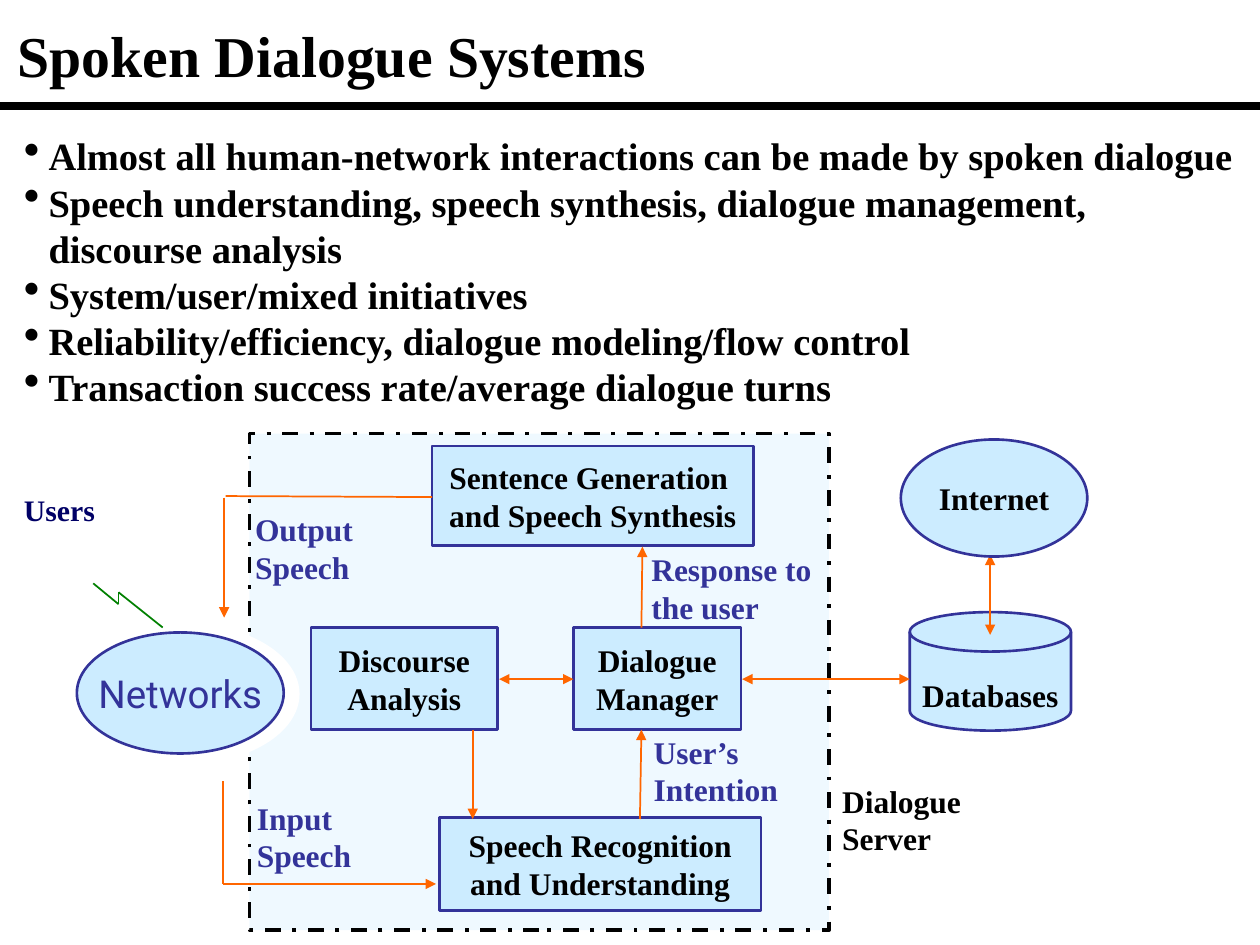
from dataclasses import dataclass

from lxml.etree import SubElement
from pptx import Presentation
from pptx.dml.color import RGBColor
from pptx.enum.dml import MSO_LINE_DASH_STYLE as Dash
from pptx.enum.shapes import MSO_CONNECTOR_TYPE as Link, MSO_SHAPE as Form
from pptx.enum.text import MSO_ANCHOR as Anchor, PP_ALIGN as Align
from pptx.oxml.ns import qn
from pptx.util import Cm, Pt

BLACK = RGBColor(0x00, 0x00, 0x00)
WHITE = RGBColor(0xFF, 0xFF, 0xFF)
PALE = RGBColor(0xE1, 0xF4, 0xFF)
SKY = RGBColor(0xCC, 0xEC, 0xFF)
INDIGO = RGBColor(0x33, 0x33, 0x99)
NAVY = RGBColor(0x00, 0x00, 0x66)
ORANGE = RGBColor(0xFF, 0x66, 0x00)
GREEN = RGBColor(0x00, 0x80, 0x00)
SERIF = "Times New Roman"
TITLE = "Spoken Dialogue Systems"
POINTS = (
    "Almost all human-network interactions can be made by spoken dialogue",
    "Speech understanding, speech synthesis, dialogue management, discourse analysis",
    "System/user/mixed initiatives",
    "Reliability/efficiency, dialogue modeling/flow control",
    "Transaction success rate/average dialogue turns",
)


@dataclass(frozen=True)
class Spot:
    left: float
    top: float
    width: float
    height: float

    def lengths(self) -> tuple[Cm, Cm, Cm, Cm]:
        return Cm(self.left), Cm(self.top), Cm(self.width), Cm(self.height)


@dataclass(frozen=True)
class Style:
    size: float = 18
    color: RGBColor = BLACK
    font: str = SERIF
    bold: bool = True


@dataclass(frozen=True)
class Node:
    text: str
    spot: Spot
    form: Form = Form.RECTANGLE
    style: Style = Style()
    wrap: bool = True


@dataclass(frozen=True)
class Label:
    text: str
    spot: Spot
    color: RGBColor = INDIGO
    inset: float = 0.25


@dataclass(frozen=True)
class Line:
    start: tuple[float, float]
    end: tuple[float, float]
    color: RGBColor = ORANGE
    weight: float = 1
    head: bool = False
    tail: bool = False


BASE = Style()
NODES = (
    Node("Sentence Generation \nand Speech Synthesis", Spot(8.71, 8.99, 6.48, 2.01)),
    Node("Dialogue\nManager", Spot(11.56, 12.65, 3.38, 2.06)),
    Node("Speech Recognition and Understanding", Spot(8.86, 16.48, 6.48, 1.88)),
    Node("Discourse Analysis", Spot(6.27, 12.65, 3.76, 2.06)),
)
DISK = Node("Databases", Spot(18.34, 12.34, 3.25, 2.39), Form.FLOWCHART_MAGNETIC_DISK)
OVALS = (
    Node("Internet", Spot(18.16, 8.86, 3.76, 2.36), Form.OVAL, wrap=False),
    Node("Networks", Spot(1.55, 12.75, 4.17, 2.44), Form.OVAL,
         Style(22, INDIGO, "Roboto", False), False),
)
LABELS = (
    Label("Output Speech", Spot(4.62, 10.06, 3.02, 1.96)),
    Label("Input Speech", Spot(4.62, 15.88, 3.02, 1.96)),
    Label("User’s Intention", Spot(12.88, 14.55, 3.1, 1.96), inset=0),
    Label("Response to the user", Spot(12.88, 10.87, 3.73, 1.96)),
    Label("Dialogue Server", Spot(16.31, 15.54, 3.73, 1.96), BLACK),
)
LINES = (
    Line((12.93, 12.65), (12.95, 11.02), tail=True),
    Line((4.55, 10), (8.71, 10.02)),
    Line((4.52, 10.03), (4.52, 12.45), tail=True),
    Line((14.96, 13.69), (18.34, 13.69), head=True, tail=True),
    Line((9.53, 14.71), (9.53, 16.51), tail=True),
    Line((4.5, 17.82), (8.79, 17.82), tail=True),
    Line((4.5, 15.75), (4.5, 17.82)),
    Line((10.06, 13.69), (11.56, 13.69), head=True, tail=True),
    Line((12.9, 16.51), (12.93, 14.71), tail=True),
    Line((19.96, 12.8), (19.96, 11.18), head=True, tail=True),
    Line((1.88, 11.76), (2.39, 12.18), GREEN),
    Line((2.39, 12.18), (2.39, 11.94), GREEN),
    Line((2.39, 11.94), (3.28, 12.65), GREEN),
)


def write(shape, text: str, style: Style = BASE, align: Align = Align.LEFT,
          anchor: Anchor = Anchor.MIDDLE, inset: float = 0.25, wrap: bool = True):
    frame = shape.text_frame
    frame.text = text
    frame.word_wrap = wrap
    frame.vertical_anchor = anchor
    frame.margin_left = frame.margin_right = Cm(inset)
    frame.margin_top = frame.margin_bottom = Cm(0.13)
    for para in frame.paragraphs:
        para.alignment = align
        for run in para.runs:
            font = run.font
            font.name, font.size, font.bold = style.font, Pt(style.size), style.bold
            font.color.rgb = style.color
    return frame


def add_form(slide, form: Form, spot: Spot, fill: RGBColor):
    shape = slide.shapes.add_shape(form, *spot.lengths())
    shape.shadow.inherit = False
    shape.fill.solid()
    shape.fill.fore_color.rgb = fill
    shape.line.fill.background()
    return shape


def add_edge(shape, color: RGBColor, weight: float) -> None:
    shape.line.color.rgb = color
    shape.line.width = Pt(weight)


def add_node(slide, node: Node):
    shape = add_form(slide, node.form, node.spot, SKY)
    add_edge(shape, INDIGO, 1.5)
    return write(shape, node.text, node.style, Align.CENTER, wrap=node.wrap)


def add_label(slide, label: Label) -> None:
    box = slide.shapes.add_textbox(*label.spot.lengths())
    frame = write(box, label.text, Style(color=label.color), inset=label.inset)
    frame._txBody.bodyPr.set("anchorCtr", "1")


def add_line(slide, line: Line) -> None:
    ends = [Cm(value) for value in line.start + line.end]
    link = slide.shapes.add_connector(Link.STRAIGHT, *ends)
    add_edge(link, line.color, line.weight)
    for shown, tag in ((line.head, "a:headEnd"), (line.tail, "a:tailEnd")):
        if shown:
            SubElement(link.line._get_or_add_ln(), qn(tag), type="triangle")
    SubElement(link._element.spPr, qn("a:effectLst"))


def add_points(slide) -> None:
    box = slide.shapes.add_textbox(*Spot(0.23, 2.54, 25.17, 5.84).lengths())
    frame = write(box, "\n".join(POINTS), Style(22), anchor=Anchor.TOP)
    for para in frame.paragraphs:
        props = para._p.get_or_add_pPr()
        props.set("marL", str(Cm(0.5)))
        props.set("indent", str(-Cm(0.5)))
        SubElement(props, qn("a:buSzPct"), val="120000")
        SubElement(props, qn("a:buChar"), char="•")


def add_back(slide) -> None:
    server = add_form(slide, Form.RECTANGLE, Spot(5.03, 8.74, 11.68, 10.01), PALE)
    tint = server.fill._xPr.find(qn("a:solidFill"))[0]
    SubElement(tint, qn("a:alpha"), val="50000")
    add_edge(server, BLACK, 2.25)
    server.line.dash_style = Dash.DASH_DOT
    add_form(slide, Form.OVAL, Spot(1.37, 12.57, 4.67, 2.84), WHITE)


def main() -> None:
    deck = Presentation()
    deck.slide_width, deck.slide_height = Cm(25.4), Cm(19.05)
    slide = deck.slides.add_slide(deck.slide_layouts[6])
    add_line(slide, Line((0, 2.13), (25.4, 2.13), BLACK, 4.5))
    title = slide.shapes.add_textbox(*Spot(0.1, 0.23, 25.3, 1.9).lengths())
    write(title, TITLE, Style(33)).paragraphs[0].line_spacing = 0.9
    add_points(slide)
    add_back(slide)
    frame = add_node(slide, DISK)
    frame.margin_left = frame.margin_right = frame.margin_bottom = Cm(0)
    frame.margin_top = Cm(0.56)
    for node in NODES:
        add_node(slide, node)
    for line in LINES:
        add_line(slide, line)
    for node in OVALS:
        add_node(slide, node)
    for label in LABELS:
        add_label(slide, label)
    users = slide.shapes.add_textbox(*Spot(0.23, 9.78, 2.03, 0.97).lengths())
    write(users, "Users", Style(17, NAVY), anchor=Anchor.TOP, wrap=False)
    deck.save("out.pptx")


if __name__ == "__main__":
    main()
